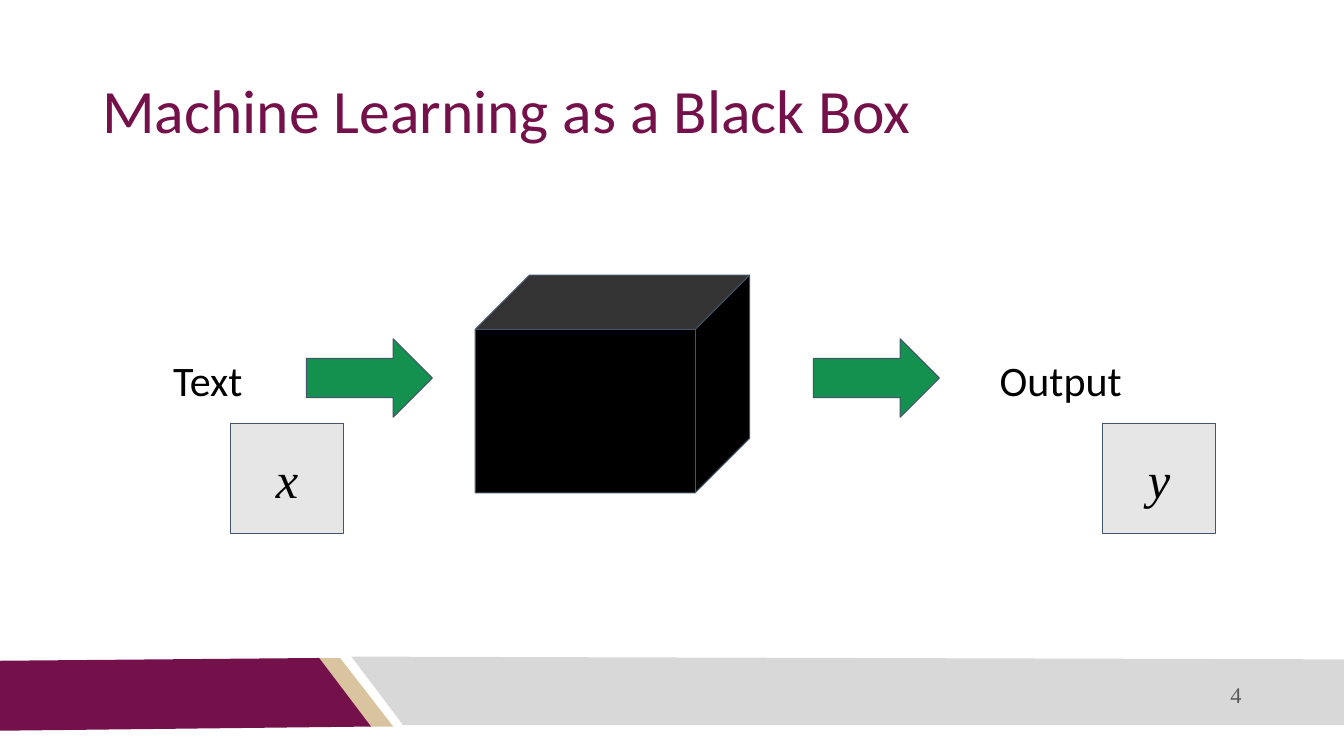
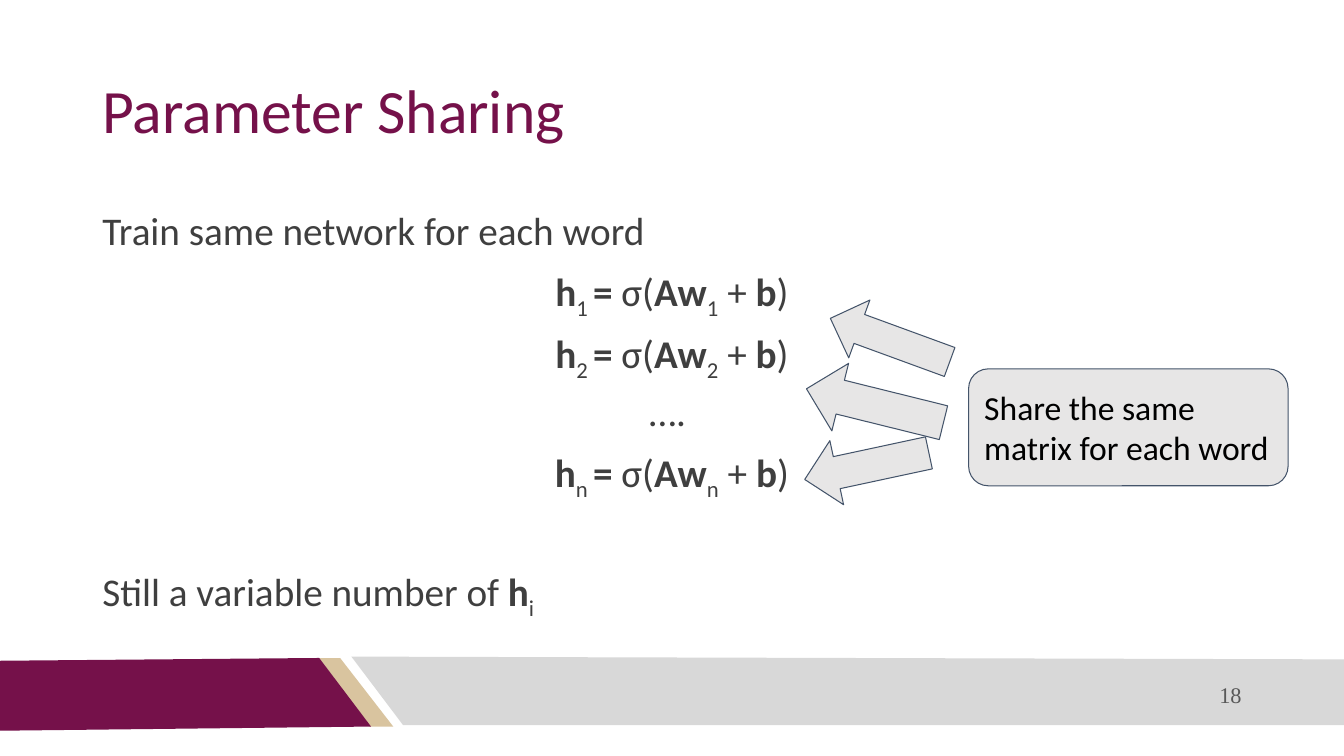
from pptx import Presentation
from pptx.dml.color import RGBColor
from pptx.enum.shapes import MSO_SHAPE
from pptx.enum.text import MSO_ANCHOR, PP_ALIGN
from pptx.util import Pt

CUBE = MSO_SHAPE.CUBE
RECTANGLE = MSO_SHAPE.RECTANGLE
ROUNDED = MSO_SHAPE.ROUNDED_RECTANGLE
RIGHT_ARROW = MSO_SHAPE.RIGHT_ARROW
LEFT_ARROW = MSO_SHAPE.LEFT_ARROW
TOP, MIDDLE = MSO_ANCHOR.TOP, MSO_ANCHOR.MIDDLE
LEFT, CENTER, RIGHT = PP_ALIGN.LEFT, PP_ALIGN.CENTER, PP_ALIGN.RIGHT

MAROON = RGBColor(0x75, 0x11, 0x4A)
TAN = RGBColor(0xD9, 0xC4, 0x9F)
BAND_GRAY = RGBColor(0xD8, 0xD8, 0xD8)
PALE_GRAY = RGBColor(0xE7, 0xE6, 0xE6)
BODY_GRAY = RGBColor(0x3F, 0x3F, 0x3F)
NUMBER_GRAY = RGBColor(0x59, 0x59, 0x59)
OUTLINE = RGBColor(0x44, 0x54, 0x6A)
GREEN = RGBColor(0x14, 0x91, 0x4E)
BLACK = RGBColor(0x00, 0x00, 0x00)

SANS = "Calibri"
SERIF = "Times New Roman"
NORMAL, BOLD, SUBSCRIPT = "normal", "bold", "subscript"

BANDS = (
    (TAN, [(227.5, 470.2), (243.4, 470.2), (280.8, 519.1), (264.2, 519.1)]),
    (MAROON, [(0, 471.6), (228.2, 470.2), (265, 519.1), (0, 522)]),
    (BAND_GRAY, [(251.3, 468.7), (960, 470.9), (960, 517.7), (288, 517.7)]),
)


def add_band(slide, color, points):
    builder = slide.shapes.build_freeform(*points[0], scale=Pt(1))
    builder.add_line_segments(points[1:])
    band = builder.convert_to_shape()
    band.shadow.inherit = False
    band.fill.solid()
    band.fill.fore_color.rgb = color
    band.line.fill.background()


def set_frame(shape, anchor):
    frame = shape.text_frame
    frame.word_wrap = True
    frame.vertical_anchor = anchor
    frame.margin_left = frame.margin_right = Pt(7.2)
    frame.margin_top = frame.margin_bottom = Pt(7.2)
    return frame


def style_paragraph(paragraph, size, color, font=SANS, align=LEFT, italic=False):
    paragraph.alignment = align
    paragraph.font.name = font
    paragraph.font.size = Pt(size)
    paragraph.font.color.rgb = color
    if italic:
        paragraph.font.italic = True


def add_label(slide, box, text, size, color, anchor=TOP, **style):
    label = slide.shapes.add_textbox(*map(Pt, box))
    paragraph = set_frame(label, anchor).paragraphs[0]
    paragraph.text = text
    style_paragraph(paragraph, size, color, **style)
    return paragraph


def add_figure(slide, kind, box, fill, rotation=0):
    figure = slide.shapes.add_shape(kind, *map(Pt, box))
    figure.shadow.inherit = False
    figure.fill.solid()
    figure.fill.fore_color.rgb = fill
    figure.line.color.rgb = OUTLINE
    figure.line.width = Pt(0.75)
    figure.rotation = rotation
    return figure


def add_caption_box(slide, kind, box, text, size, **style):
    figure = add_figure(slide, kind, box, PALE_GRAY)
    paragraph = set_frame(figure, MIDDLE).paragraphs[0]
    paragraph.text = text
    style_paragraph(paragraph, size, BLACK, **style)


def add_body(slide, box, lines):
    body = slide.shapes.add_textbox(*map(Pt, box))
    frame = set_frame(body, TOP)
    for index, (align, space_before, pieces) in enumerate(lines):
        paragraph = frame.add_paragraph() if index else frame.paragraphs[0]
        paragraph.line_spacing = 0.9
        paragraph.space_before = Pt(space_before)
        style_paragraph(paragraph, 28, BODY_GRAY, align=align)
        for text, style in pieces:
            run = paragraph.add_run()
            run.text = text
            if style == BOLD:
                run.font.bold = True
            elif style == SUBSCRIPT:
                run._r.get_or_add_rPr().set("baseline", "-25000")


def equation(index):
    return [
        ("h", BOLD), (f"{index} ", SUBSCRIPT), ("= ", BOLD), ("σ(", NORMAL),
        ("Aw", BOLD), (index, SUBSCRIPT), (" + ", NORMAL), ("b", BOLD), (")", NORMAL),
    ]


def add_base_slide(presentation, title, number):
    slide = presentation.slides.add_slide(presentation.slide_layouts[6])
    for color, points in BANDS:
        add_band(slide, color, points)
    heading = add_label(slide, (66, 28.8, 828, 104.4), title, 44, MAROON, MIDDLE)
    heading.line_spacing = 0.9
    add_label(slide, (570, 481.7, 324, 28.8), number, 16, NUMBER_GRAY, MIDDLE,
              font=SERIF, align=RIGHT)
    return slide


def add_black_box_slide(presentation):
    slide = add_base_slide(presentation, "Machine Learning as a Black Box", "4")
    add_figure(slide, CUBE, (339.5, 196.5, 196, 155.5), BLACK)
    for text, left, width in (("Text", 116.6, 90), ("Output", 707, 129)):
        add_label(slide, (left, 246.2, width, 56), text, 30, BLACK)
    for left in (218.8, 581):
        add_figure(slide, RIGHT_ARROW, (left, 242, 90, 56), GREEN)
    for variable, left in (("x", 164.6), ("y", 787.5)):
        add_caption_box(slide, RECTANGLE, (left, 302.4, 81, 78.5), variable, 36,
                        font=SERIF, align=CENTER, italic=True)


def add_sharing_slide(presentation):
    slide = add_base_slide(presentation, "Parameter Sharing", "18")
    add_body(slide, (66, 144, 828, 300), [
        (LEFT, 0, [("Train same network for each word", NORMAL)]),
        (CENTER, 10, equation("1")),
        (CENTER, 10, equation("2")),
        (CENTER, 10, [("…. ", NORMAL)]),
        (CENTER, 10, equation("n")),
        (LEFT, 51, [("Still a variable number of ", NORMAL), ("h", BOLD), ("i", SUBSCRIPT)]),
    ])
    for box, rotation in (
        ((590.4, 221, 90.7, 44), 20.1),
        ((574.6, 265, 100.8, 49.7), 13.9),
        ((573.8, 309.6, 90.7, 46.8), -12.1),
    ):
        add_figure(slide, LEFT_ARROW, box, PALE_GRAY, rotation)
    add_caption_box(slide, ROUNDED, (691.9, 263.5, 228.2, 83.5),
                    "Share the same matrix for each word", 24)


def main():
    presentation = Presentation()
    presentation.slide_width = Pt(960)
    presentation.slide_height = Pt(540)
    add_black_box_slide(presentation)
    add_sharing_slide(presentation)
    presentation.save("out.pptx")


if __name__ == "__main__":
    main()
